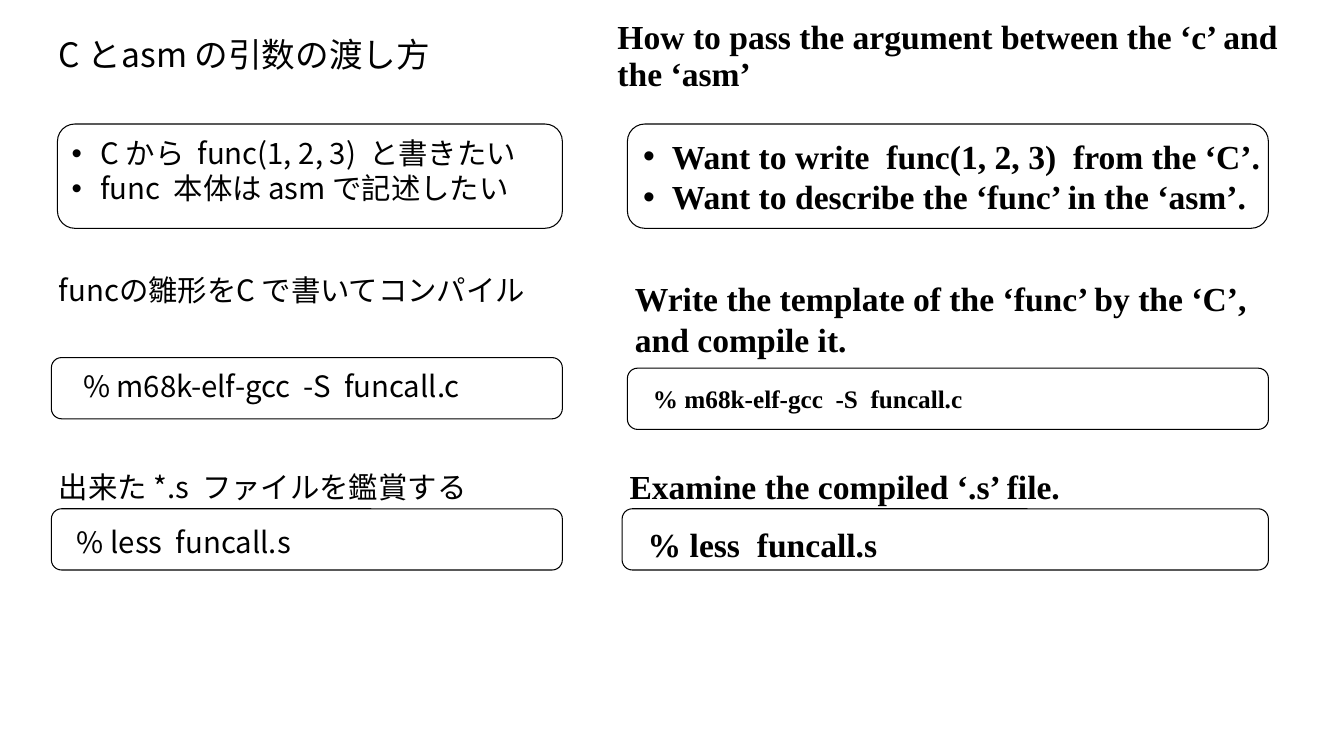
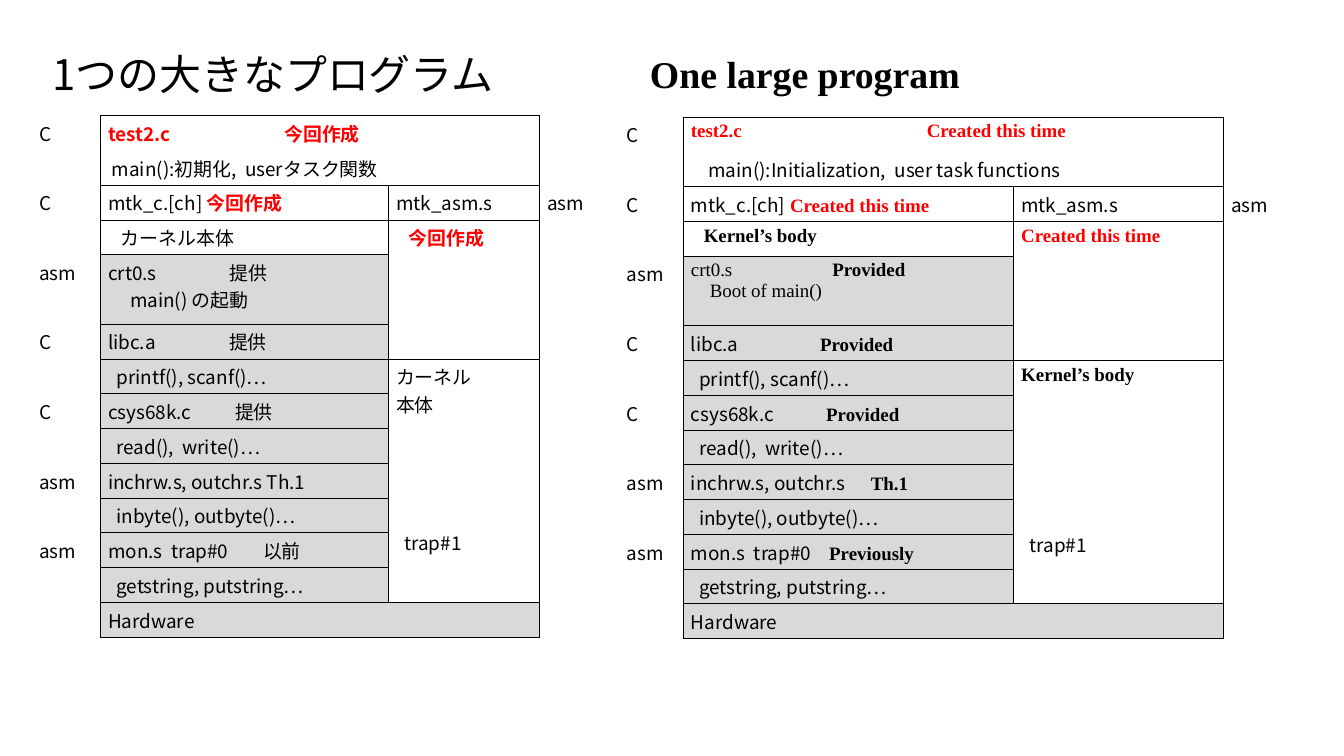
from dataclasses import dataclass
from typing import NamedTuple

import lxml.etree
import pptx
import pptx.dml.color
import pptx.enum.shapes
import pptx.enum.text
import pptx.oxml.ns
import pptx.util

Inches = pptx.util.Inches
Pt = pptx.util.Pt
qn = pptx.oxml.ns.qn

COLORS = {"ink": "000000", "new": "FF0000", "given": "D9D9D9"}
GOTHIC, ROMAN = "Noto Sans CJK JP", "Times New Roman"
PLAIN_STYLE = "{2D5ABB26-0587-4C30-8999-92F81FD0307C}"
ROWS, ROW_HEIGHT = 15, 0.46
LINE_HEIGHT = 0.36


class Look(NamedTuple):
    font: str
    color: str = "ink"
    bold: bool = False


LOOKS = {
    "ja": Look(GOTHIC),
    "ja new": Look(GOTHIC, "new", True),
    "en": Look(ROMAN, bold=True),
    "en new": Look(ROMAN, "new", True),
    "en thin": Look(ROMAN),
}


class Word(NamedTuple):
    text: str
    look: str = "ja"


@dataclass(frozen=True)
class Line:
    words: tuple[Word, ...]
    indent: float = 0
    tab: float = 0


@dataclass(frozen=True)
class Note:
    left: float
    top: float
    width: float
    height: float
    lines: tuple[str, ...]
    look: str
    size: int
    title: bool = False
    bullet: bool = False


class Frame(NamedTuple):
    left: float
    top: float
    width: float
    height: float


class Block(NamedTuple):
    """A bordered group of cells; bare names the sides without a border."""
    row: int
    col: int
    rows: int = 1
    cols: int = 1
    given: bool = False
    bare: str = ""
    skip: int = 0


@dataclass(frozen=True)
class Chart:
    left: float
    top: float
    widths: tuple[float, ...]
    texts: tuple[tuple[Line, ...], ...]


def line(text: str, look: str = "ja", indent: float = 0) -> Line:
    return Line((Word(text, look),), indent)


def pair(name: str, state: str, look: str, tab: float, first: str = "ja") -> Line:
    """A file name and, at the tab stop, its state."""
    return Line((Word(name + "\t", first), Word(state, look)), tab=tab)


def rgb(name: str) -> pptx.dml.color.RGBColor:
    return pptx.dml.color.RGBColor.from_string(COLORS[name])


def style(run, look: Look, size: int) -> None:
    run.font.name = look.font
    run.font.size = Pt(size)
    run.font.bold = look.bold
    run.font.color.rgb = rgb(look.color)
    east = lxml.etree.Element(qn("a:ea"), typeface=look.font)
    run.font._element.find(qn("a:latin")).addnext(east)


def add_note(slide, note: Note) -> None:
    box = slide.shapes.add_textbox(*map(Inches, (note.left, note.top, note.width, note.height)))
    frame = box.text_frame
    frame.word_wrap = True
    frame.text = "\n".join(note.lines)
    if note.title:
        frame.vertical_anchor = pptx.enum.text.MSO_ANCHOR.MIDDLE
    for para in frame.paragraphs:
        if note.title:
            para.line_spacing = 0.9
        if note.bullet:
            props = para._p.get_or_add_pPr()
            props.set("marL", str(Inches(0.38)))
            props.set("indent", str(-Inches(0.38)))
            lxml.etree.SubElement(props, qn("a:buFont"), typeface="Arial")
            lxml.etree.SubElement(props, qn("a:buChar"), char="•")
        for run in para.runs:
            style(run, LOOKS[note.look], note.size)


def add_frame(slide, frame: Frame) -> None:
    kind = pptx.enum.shapes.MSO_SHAPE.ROUNDED_RECTANGLE
    shape = slide.shapes.add_shape(kind, *map(Inches, frame))
    shape.shadow.inherit = False
    shape.fill.background()
    shape.line.color.rgb = rgb("ink")
    shape.line.width = Pt(1)


def write(cell, lines: tuple[Line, ...]) -> None:
    frame = cell.text_frame
    for index, item in enumerate(lines):
        para = frame.add_paragraph() if index else frame.paragraphs[0]
        props = para._p.get_or_add_pPr()
        if item.indent:
            props.set("marL", str(Inches(item.indent)))
            props.set("indent", "0")
        if item.tab:
            stops = lxml.etree.SubElement(props, qn("a:tabLst"))
            lxml.etree.SubElement(stops, qn("a:tab"), pos=str(Inches(item.tab)), algn="l")
        for word in item.words:
            run = para.add_run()
            run.text = word.text
            style(run, LOOKS[word.look], 18)


def border(cell, sides: str) -> None:
    props = cell._tc.get_or_add_tcPr()
    for side in sides:
        edge = lxml.etree.SubElement(props, qn(f"a:ln{side}"), w=str(Pt(1)))
        fill = lxml.etree.SubElement(edge, qn("a:solidFill"))
        lxml.etree.SubElement(fill, qn("a:srgbClr"), val=COLORS["ink"])


def add_block(table, block: Block, lines: tuple[Line, ...]) -> None:
    bottom, right = block.row + block.rows - 1, block.col + block.cols - 1
    for row in range(block.row, bottom + 1):
        for col in range(block.col, right + 1):
            edges = {"L": col == block.col, "R": col == right,
                     "T": row == block.row, "B": row == bottom}
            cell = table.cell(row, col)
            border(cell, "".join(s for s, on in edges.items() if on and s not in block.bare))
            if block.given:
                cell.fill.solid()
                cell.fill.fore_color.rgb = rgb("given")
    first = table.cell(block.row, block.col)
    if (bottom, right) != (block.row, block.col):
        first.merge(table.cell(bottom, right))
    if block.skip:
        first.margin_top = Inches(0.05 + block.skip * LINE_HEIGHT)
    write(first, lines)


BLOCKS = (
    Block(0, 1, cols=2, bare="B"),
    Block(1, 1, cols=2, bare="T"),
    Block(2, 1),
    Block(3, 1),
    Block(4, 1, rows=2, given=True),
    *(Block(row, 1, given=True) for row in range(6, 14)),
    Block(14, 1, cols=2, given=True),
    Block(2, 2),
    Block(3, 2, rows=4, bare="B"),
    Block(7, 2, rows=2, bare="TB"),
    Block(9, 2, rows=2, bare="TB"),
    Block(11, 2, rows=2, bare="TB", skip=1),
    Block(13, 2, bare="T"),
)
LABELS = {(0, 0): "C", (2, 0): "C", (4, 0): "asm", (6, 0): "C", (8, 0): "C",
          (10, 0): "asm", (12, 0): "asm", (2, 3): "asm"}


def add_chart(slide, chart: Chart) -> None:
    """The table of program layers, with the language beside each."""
    spots = (chart.left, chart.top, sum(chart.widths), ROWS * ROW_HEIGHT)
    table = slide.shapes.add_table(ROWS, len(chart.widths), *map(Inches, spots)).table
    table.first_row = table.horz_banding = False
    table._tbl.tblPr.find(qn("a:tableStyleId")).text = PLAIN_STYLE
    for col, width in zip(table.columns, chart.widths):
        col.width = Inches(width)
    for block, lines in zip(BLOCKS, chart.texts):
        add_block(table, block, lines)
    for spot, label in LABELS.items():
        write(table.cell(*spot), (line(label),))
    for cell in table.iter_cells():
        if cell.fill.type is None:
            cell.fill.background()


def call(text: str) -> tuple[Line, ...]:
    return (line(text, indent=0.11),)


PRINT, READ = call("printf(), scanf()…"), call("read(),  write()…")
BYTE, STRING = call("inbyte(), outbyte()…"), call("getstring, putstring…")
HARD, TRAP = (line("Hardware"),), call("trap#1")
ASM = (line("mtk_asm.s"),)

CHARTS = (
    Chart(0.42, 1.53, (0.91, 3.81, 2, 0.85), (
        (pair("test2.c", "今回作成", "ja new", 2.33, "ja new"),),
        (line("main():初期化,  userタスク関数", indent=0.05),),
        (Line((Word("mtk_c.[ch] "), Word("今回作成", "ja new"))),),
        (line("カーネル本体", indent=0.17),),
        (pair("crt0.s", "提供", "ja", 1.61), line("main() の起動", indent=0.29)),
        (pair("libc.a", "提供", "ja", 1.6),), PRINT,
        (pair("csys68k.c", "提供", "ja", 1.68),), READ,
        (line("inchrw.s, outchr.s Th.1"),), BYTE,
        (pair("mon.s  trap#0", "以前", "ja", 2.05),), STRING,
        HARD, ASM,
        (line("今回作成", "ja new", 0.17),),
        (line("カーネル"), line("本体")), (), TRAP, (),
    )),
    Chart(8.19, 1.55, (0.85, 4.37, 2.78, 1), (
        (pair("test2.c", "Created this time", "en new", 3.12, "en new"),),
        (line("main():Initialization,  user task functions", indent=0.23),),
        (Line((Word("mtk_c.[ch]"), Word(" Created this time", "en new"))),),
        (line("Kernel’s body", "en", 0.17),),
        (pair("crt0.s", "Provided", "en", 1.87, "en thin"),
         line("Boot of main()", "en thin", 0.25)),
        (pair("libc.a", "Provided", "en", 1.71),), PRINT,
        (pair("csys68k.c", "Provided", "en", 1.79),), READ,
        (pair("inchrw.s, outchr.s", "Th.1", "en", 2.38),), BYTE,
        (pair("mon.s  trap#0", "Previously", "en", 1.83),), STRING,
        HARD, ASM,
        (line("Created this time", "en new"),),
        (line("Kernel’s body", "en"),), (), TRAP, (),
    )),
)

GCC, LESS = ("% m68k-elf-gcc  -S  funcall.c",), ("% less  funcall.s",)
FRAMES = (
    Frame(0.76, 1.64, 6.68, 1.38), Frame(0.68, 4.73, 6.76, 0.81), Frame(0.68, 6.73, 6.76, 0.81),
    Frame(8.3, 1.64, 8.48, 1.38), Frame(8.3, 4.87, 8.48, 0.81), Frame(8.23, 6.73, 8.55, 0.81),
)
PASSING = (
    Note(0.68, 0.36, 6.46, 0.79, ("C とasm の引数の渡し方",), "ja", 32, title=True),
    Note(8.07, 0.36, 9.04, 0.79, ("How to pass the argument between the ‘c’ and the ‘asm’",),
         "en", 32, title=True),
    Note(0.85, 1.74, 6.68, 1.04, ("C から  func(1, 2, 3)  と書きたい", "func  本体は asm で記述したい"),
         "ja", 28, bullet=True),
    Note(0.68, 3.55, 7.14, 0.57, ("funcの雛形をC で書いてコンパイル",), "ja", 28),
    Note(1, 4.82, 5.62, 0.57, GCC, "ja", 28),
    Note(0.68, 6.16, 6.36, 0.57, ("出来た *.s  ファイルを鑑賞する",), "ja", 28),
    Note(0.92, 6.88, 5.62, 0.57, LESS, "ja", 28),
    Note(8.41, 1.75, 8.48, 1.58, ("Want to write  func(1, 2, 3)  from the ‘C’.",
                                  "Want to describe the ‘func’ in the ‘asm’."),
         "en", 32, bullet=True),
    Note(8.3, 3.63, 8.66, 1.18, ("Write the template of the ‘func’ by the ‘C’, and compile it.",),
         "en", 32),
    Note(8.54, 5.02, 5.62, 0.5, GCC, "en", 24),
    Note(8.23, 6.12, 6.13, 0.64, ("Examine the compiled ‘.s’ file.",), "en", 32),
    Note(8.47, 6.88, 5.62, 0.64, LESS, "en", 32),
)
PROGRAM = (
    Note(0.59, 0.49, 7.25, 1.05, ("1つの大きなプログラム",), "ja", 40, title=True),
    Note(8.5, 0.49, 8.69, 1.05, ("One large program",), "en", 36, title=True),
)


def main() -> None:
    deck = pptx.Presentation()
    deck.slide_width, deck.slide_height = Inches(17.78), Inches(10)
    for notes, frames, charts in ((PASSING, FRAMES, ()), (PROGRAM, (), CHARTS)):
        slide = deck.slides.add_slide(deck.slide_layouts[6])
        for frame in frames:
            add_frame(slide, frame)
        for note in notes:
            add_note(slide, note)
        for chart in charts:
            add_chart(slide, chart)
    deck.save("out.pptx")


if __name__ == "__main__":
    main()
